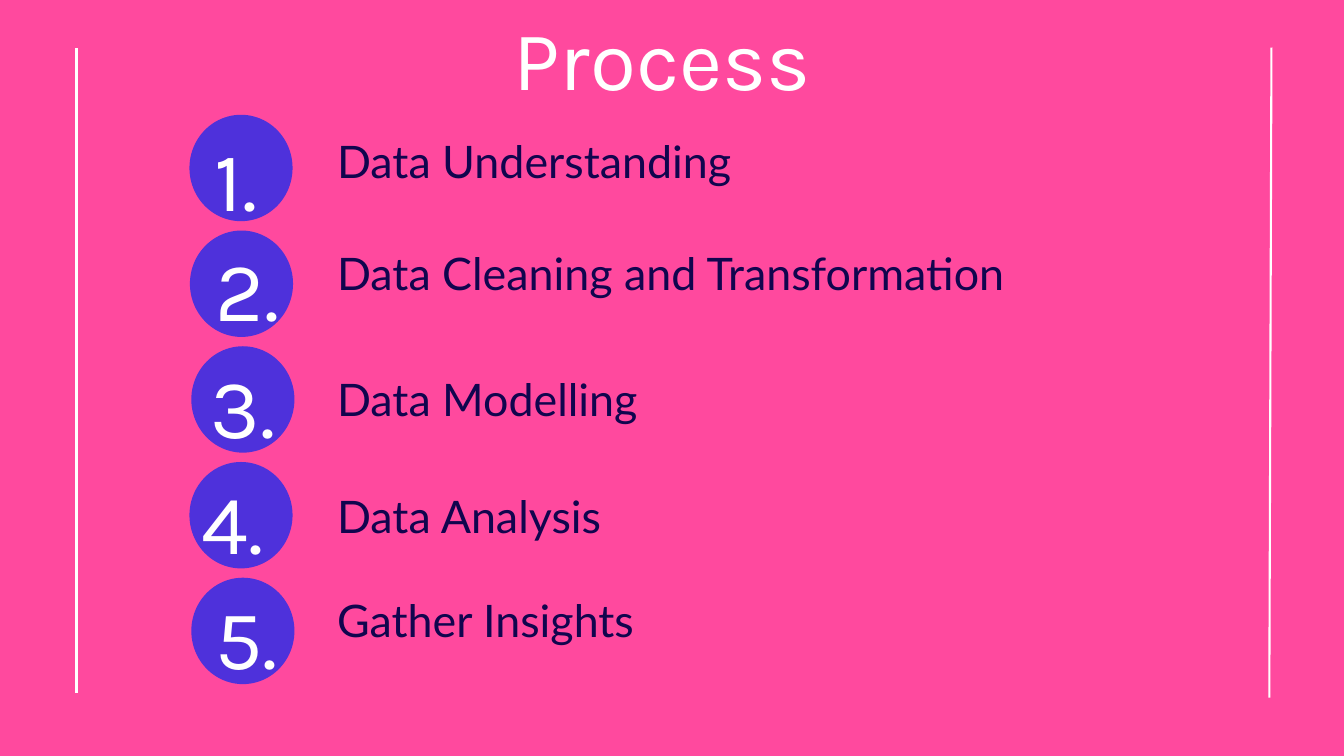
from dataclasses import dataclass

from pptx import Presentation
from pptx.dml.color import RGBColor
from pptx.enum.shapes import MSO_CONNECTOR as Connector, MSO_SHAPE as Shape
from pptx.enum.text import MSO_ANCHOR as Anchor, MSO_AUTO_SIZE as AutoSize, PP_ALIGN as Align
from pptx.oxml.ns import qn
from pptx.util import Pt
from lxml.etree import SubElement


@dataclass(frozen=True)
class Theme:
    background: RGBColor = RGBColor(0xFF, 0x49, 0x9E)
    badge: RGBColor = RGBColor(0x4E, 0x31, 0xDB)
    light: RGBColor = RGBColor(0xFF, 0xFF, 0xFF)
    dark: RGBColor = RGBColor(0x11, 0x05, 0x4E)
    display_font: str = "Karla"
    body_font: str = "Lato"
    display_size: Pt = Pt(90)
    body_size: Pt = Pt(48)


theme = Theme()
frame_format = dict(
    word_wrap=True, auto_size=AutoSize.SHAPE_TO_FIT_TEXT, vertical_anchor=Anchor.TOP,
    margin_left=0, margin_right=0, margin_top=0, margin_bottom=0,
)
display = dict(
    paragraph=dict(alignment=Align.CENTER, line_spacing=Pt(117)),
    font=dict(name=theme.display_font, size=theme.display_size),
    color=theme.light,
)
body = dict(
    paragraph=dict(alignment=Align.LEFT, line_spacing=Pt(35)),
    font=dict(name=theme.body_font, size=theme.body_size),
    color=theme.dark,
)


def apply(target, values):
    for attribute, value in values.items():
        setattr(target, attribute, value)


def write(holder, words, look, left, top, width, height):
    apply(holder, dict(left=Pt(left), top=Pt(top), width=Pt(width), height=Pt(height)))
    frame = holder.text_frame
    apply(frame, frame_format)
    paragraph = frame.paragraphs[0]
    apply(paragraph, look["paragraph"])
    run = paragraph.add_run()
    run.text = words
    apply(run.font, look["font"])
    run.font.color.rgb = look["color"]


deck = Presentation()
apply(deck, dict(slide_width=Pt(1440), slide_height=Pt(810)))
slide = deck.slides.add_slide(deck.slide_layouts[5])
shapes = slide.shapes
slide.background.fill.solid()
slide.background.fill.fore_color.rgb = theme.background

for bottom_x, bottom_y, top_x in [(1360, 747.5, 1362.3), (82, 742.5, 82)]:
    border = shapes.add_connector(
        Connector.STRAIGHT, Pt(bottom_x), Pt(bottom_y), Pt(top_x), Pt(51))
    border.line.width = Pt(2.25)
    border.line.color.rgb = theme.light
    SubElement(border._element.spPr, qn("a:effectLst"))

write(shapes.title, "Process", display, 529, -2, 361, 106.5)

steps = [
    ("Data Understanding", 203, 253, 128, 165.5),
    ("Data Cleaning and Transformation", 203.5, 265, 245, 286),
    ("Data Modelling", 205, 260.5, 371, 420.5),
    ("Data Analysis", 203, 249, 495, 546),
    ("Gather Insights", 205, 264, 618, 657.5),
]
numeral_width = 85

for index, (step, badge_left, numeral_center, numeral_top, step_top) in enumerate(steps):
    badge = shapes.add_shape(
        Shape.OVAL, Pt(badge_left), Pt(123 + 124 * index), Pt(110.5), Pt(114))
    badge.shadow.inherit = False
    badge.fill.solid()
    badge.fill.fore_color.rgb = theme.badge
    badge.line.fill.background()

    numeral = shapes.add_textbox(0, 0, 0, 0)
    write(numeral, f"{index + 1}.", display,
          numeral_center - numeral_width / 2, numeral_top, numeral_width, 106.5)

    label = shapes.add_textbox(0, 0, 0, 0)
    write(label, step, body, 339.5, step_top, 852, 36.5)
    label.text_frame.margin_left = Pt(21.6)

deck.save("out.pptx")
